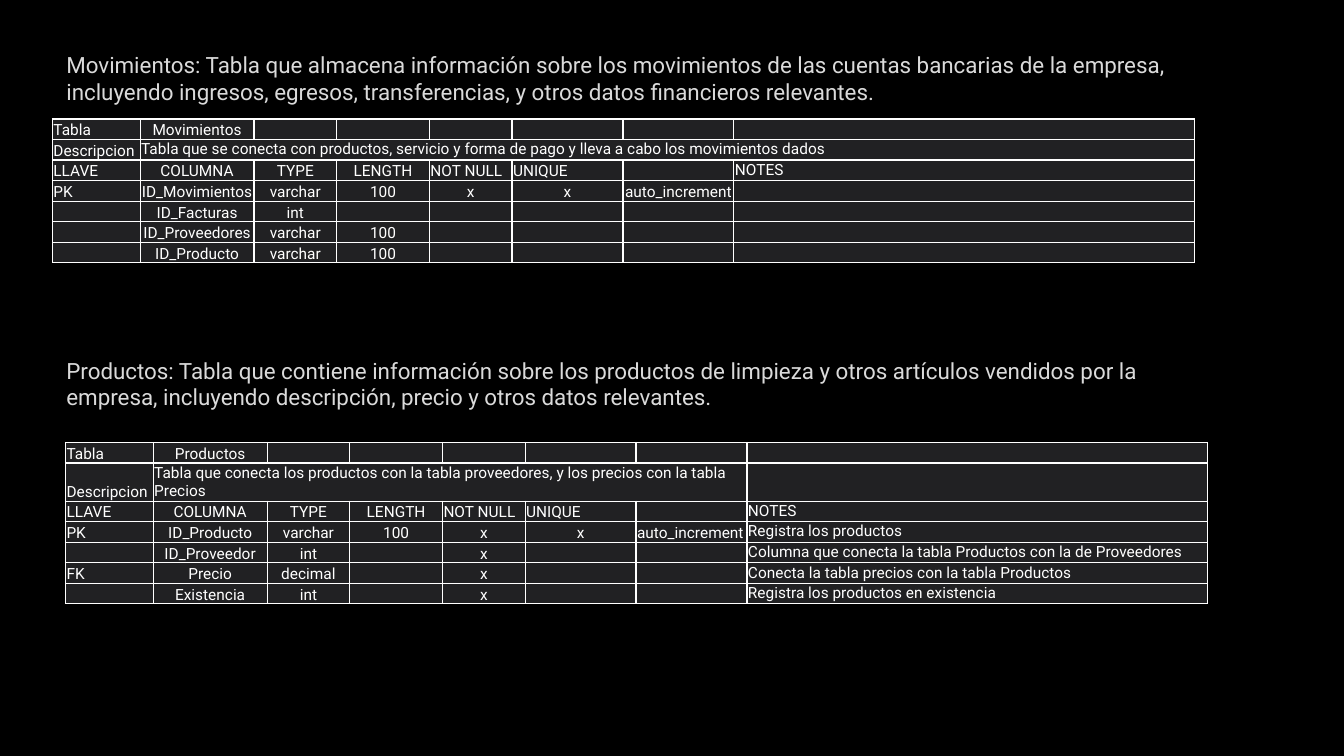
from dataclasses import dataclass

from lxml import etree
from pptx import Presentation
from pptx.dml.color import RGBColor
from pptx.enum.text import MSO_ANCHOR, PP_ALIGN
from pptx.oxml.ns import qn
from pptx.util import Inches, Pt

LEFT, CENTER = PP_ALIGN.LEFT, PP_ALIGN.CENTER
TOP, BOTTOM = MSO_ANCHOR.TOP, MSO_ANCHOR.BOTTOM
BORDER_TAGS = ("a:lnL", "a:lnR", "a:lnT", "a:lnB")

COLUMN_WIDTHS = (0.87, 1.13, 0.82, 0.92, 0.82, 1.1, 1.1, 4.57)
ROW_HEIGHT = 1.43 / 7
DESCRIPTION_ROW = 1
NOTES_COLUMN = len(COLUMN_WIDTHS) - 1
HEADINGS = ("LLAVE", "COLUMNA", "TYPE", "LENGTH", "NOT NULL", "UNIQUE", "", "NOTES")

MOVEMENT_ROWS = (
    ("Tabla", "Movimientos"),
    ("Descripcion", "Tabla que se conecta con productos, servicio y forma de pago "
                    "y lleva a cabo los movimientos dados"),
    HEADINGS,
    ("PK", "ID_Movimientos", "varchar", "100", "x", "x", "auto_increment"),
    ("", "ID_Facturas", "int"),
    ("", "ID_Proveedores", "varchar", "100"),
    ("", "ID_Producto", "varchar", "100"),
)
PRODUCT_ROWS = (
    ("Tabla", "Productos"),
    ("Descripcion", "Tabla que conecta los productos con la tabla proveedores, "
                    "y los precios con la tabla Precios"),
    HEADINGS,
    ("PK", "ID_Producto", "varchar", "100", "x", "x", "auto_increment",
     "Registra los productos"),
    ("", "ID_Proveedor", "int", "", "x", "", "",
     "Columna que conecta la tabla Productos con la de Proveedores"),
    ("FK", "Precio", "decimal", "", "x", "", "",
     "Conecta la tabla precios con la tabla Productos"),
    ("", "Existencia", "int", "", "x", "", "",
     "Registra los productos en existencia"),
)


@dataclass(frozen=True)
class Theme:
    font: str = "Roboto"
    background: str = "000000"
    intro_color: str = "DADADA"
    cell_fill: str = "212123"
    cell_text: str = "FFFFFF"
    border: str = "FFFFFF"
    intro_size: int = 16
    cell_size: int = 11
    border_width: int = 1


class SlideBuilder:
    def __init__(self, slide, theme):
        self.slide = slide
        self.theme = theme
        fill = slide.background.fill
        fill.solid()
        fill.fore_color.rgb = RGBColor.from_string(theme.background)

    def format_runs(self, paragraph, size, color):
        for run in paragraph.runs:
            run.font.name = self.theme.font
            run.font.size = Pt(size)
            run.font.color.rgb = RGBColor.from_string(color)

    def add_intro(self, top, text):
        box = self.slide.shapes.add_textbox(
            Inches(0.56), Inches(top), Inches(11.32), Inches(0.64))
        box.text_frame.word_wrap = True
        box.text_frame.text = text
        self.format_runs(box.text_frame.paragraphs[0],
                         self.theme.intro_size, self.theme.intro_color)

    def add_schema_table(self, left, top, rows, description_end, left_cells):
        """Draw a schema; left_cells are the (row, column) pairs not centred."""
        frame = self.slide.shapes.add_table(
            len(rows), len(COLUMN_WIDTHS), Inches(left), Inches(top),
            Inches(sum(COLUMN_WIDTHS)), Inches(ROW_HEIGHT * len(rows)))
        table = frame.table
        table.first_row = table.horz_banding = False
        for column, width in zip(table.columns, COLUMN_WIDTHS):
            column.width = Inches(width)
        for row_index, texts in enumerate(rows):
            table.rows[row_index].height = Inches(ROW_HEIGHT)
            for column_index in range(len(COLUMN_WIDTHS)):
                text = texts[column_index] if column_index < len(texts) else ""
                is_prose = (column_index == NOTES_COLUMN
                            or (row_index, column_index) == (DESCRIPTION_ROW, 1))
                is_left = (is_prose or column_index == 0
                           or (row_index, column_index) in left_cells)
                self.format_cell(table.cell(row_index, column_index), text,
                                 LEFT if is_left else CENTER,
                                 TOP if is_prose else BOTTOM)
        table.cell(DESCRIPTION_ROW, 1).merge(
            table.cell(DESCRIPTION_ROW, description_end))

    def format_cell(self, cell, text, alignment, anchor):
        cell.margin_left = cell.margin_right = cell.margin_top = Inches(0.01)
        cell.margin_bottom = 0
        cell.vertical_anchor = anchor
        paragraph = cell.text_frame.paragraphs[0]
        paragraph.text = text
        paragraph.alignment = alignment
        self.format_runs(paragraph, self.theme.cell_size, self.theme.cell_text)
        if not text:
            # An empty cell takes its line height from the paragraph end mark.
            etree.SubElement(paragraph._p, qn("a:endParaRPr"),
                             sz=str(self.theme.cell_size * 100))
        self.add_borders(cell)
        cell.fill.solid()
        cell.fill.fore_color.rgb = RGBColor.from_string(self.theme.cell_fill)

    def add_borders(self, cell):
        properties = cell._tc.get_or_add_tcPr()
        for tag in BORDER_TAGS:
            line = etree.SubElement(properties, qn(tag),
                                    w=str(Pt(self.theme.border_width)))
            fill = etree.SubElement(line, qn("a:solidFill"))
            etree.SubElement(fill, qn("a:srgbClr"), val=self.theme.border)


def main():
    presentation = Presentation()
    presentation.slide_width = Inches(13.33)
    presentation.slide_height = Inches(7.5)
    slide = presentation.slides.add_slide(presentation.slide_layouts[6])
    builder = SlideBuilder(slide, Theme())

    builder.add_intro(
        0.46, "Movimientos: Tabla que almacena información sobre los movimientos de las "
              "cuentas bancarias de la empresa, incluyendo ingresos, egresos, "
              "transferencias, y otros datos financieros relevantes.")
    builder.add_intro(
        3.49, "Productos: Tabla que contiene información sobre los productos de limpieza "
              "y otros artículos vendidos por la empresa, incluyendo descripción, precio "
              "y otros datos relevantes.")
    left_headings = {(2, 4), (2, 5)}
    builder.add_schema_table(0.52, 1.18, MOVEMENT_ROWS, NOTES_COLUMN, left_headings)
    builder.add_schema_table(0.65, 4.39, PRODUCT_ROWS, NOTES_COLUMN - 1,
                             left_headings | {(3, 6)})
    presentation.save("out.pptx")


if __name__ == "__main__":
    main()
